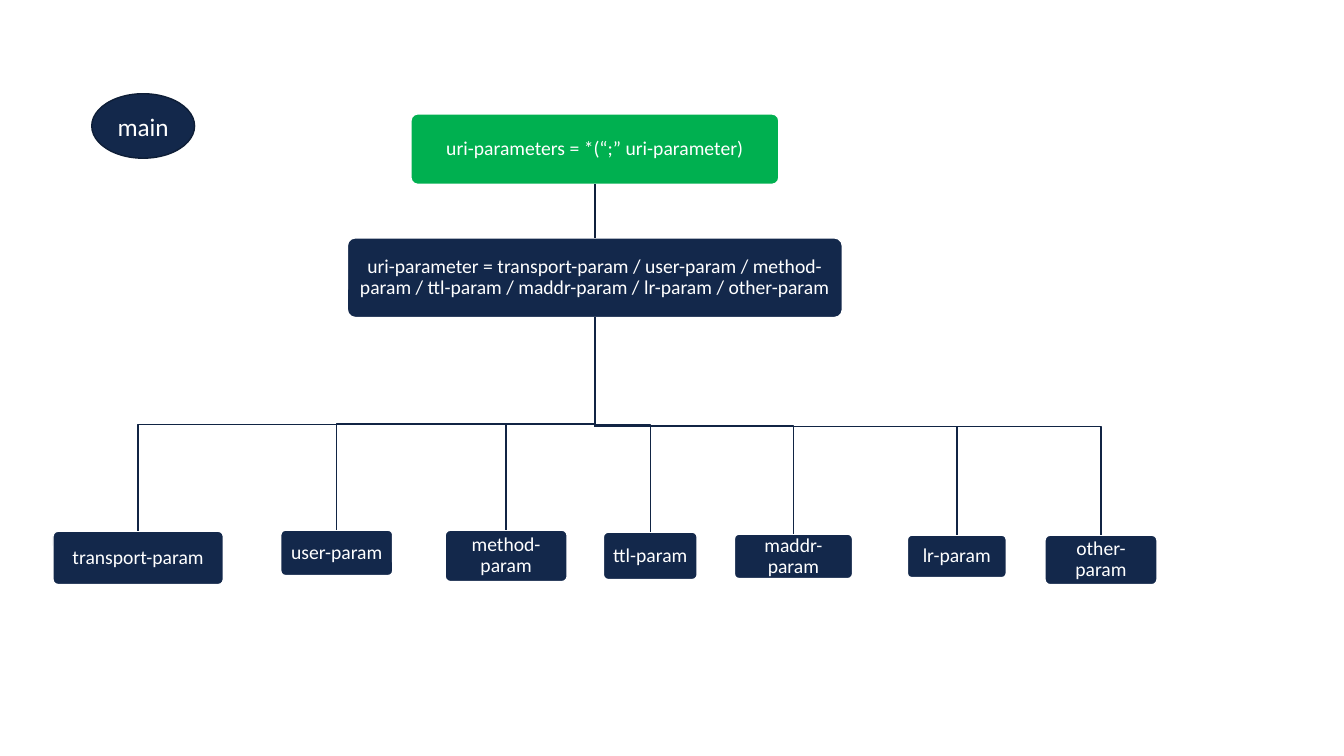
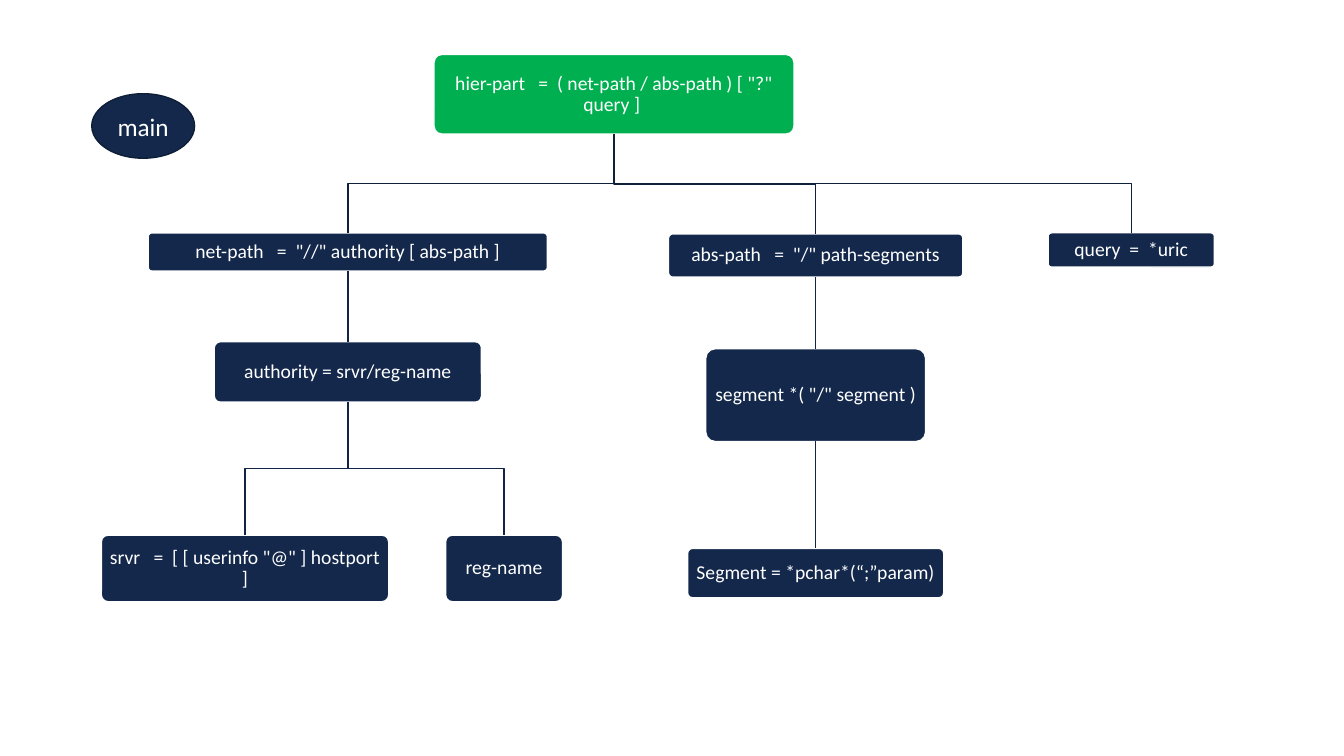
from lxml import etree
from pptx import Presentation, util as u
from pptx.dml import color
from pptx.enum import shapes, text
from pptx.oxml import ns

NAVY, GREEN, WHITE = "13284B", "00B050", "FFFFFF"
EDGE, DARK, LINK = "0E1E37", "0F203C", "112444"
FONT = "Calibri"
BADGE = ("main", 1.42, 0.93, 1.02, 0.64)

# Each box: words, centre, top, width, height, index of the box above it
TREES = [
    [
        ("uri-parameters = *(“;” uri-parameter)", 5.9, 1.13, 3.65, 0.7, None),
        ("uri-parameter = transport-param / user-param / method-param"
         " / ttl-param / maddr-param / lr-param / other-param",
         5.9, 2.36, 4.91, 0.79, 0),
        ("transport-param", 1.37, 5.27, 1.69, 0.53, 1),
        ("user-param", 3.34, 5.26, 1.11, 0.45, 1),
        ("method-param", 5.02, 5.26, 1.21, 0.51, 1),
        ("ttl-param", 6.45, 5.28, 0.93, 0.47, 1),
        ("maddr-param", 7.87, 5.3, 1.17, 0.44, 1),
        ("lr-param", 9.49, 5.31, 0.98, 0.42, 1),
        ("other-param", 10.92, 5.31, 1.11, 0.49, 1),
    ],
    [
        ('hier-part   =  ( net-path / abs-path ) [ "?" query ] ',
         6.09, 0.54, 3.57, 0.79, None),
        ('net-path   =  "//" authority [ abs-path ]',
         3.45, 2.31, 3.96, 0.38, 0),
        ("authority = srvr/reg-name", 3.45, 3.39, 2.65, 0.6, 1),
        ('srvr   =  [ [ userinfo "@" ] hostport ]',
         2.43, 5.31, 2.85, 0.66, 2),
        ("reg-name", 5, 5.31, 1.16, 0.66, 2),
        ('abs-path   =  "/" path-segments', 8.09, 2.32, 2.92, 0.43, 0),
        ('segment *( "/" segment )', 8.09, 3.46, 2.18, 0.92, 5),
        ("Segment = *pchar*(“;”param)", 8.09, 5.44, 2.54, 0.49, 6),
        ("query  =  *uric", 11.22, 2.31, 1.65, 0.34, 0),
    ],
]


def rgb(code):
    """Turn a hex string into a colour."""
    return color.RGBColor.from_string(code)


def stroke(shape, code):
    """Give a shape or connector a one-point line."""
    shape.line.color.rgb = rgb(code)
    shape.line.width = u.Pt(1)


def node(slide, kind, words, mid, top, wide, high, fill, edge, size):
    """Draw a filled shape around a centre line with its words."""
    box = slide.shapes.add_shape(
        kind, *map(u.Inches, (mid - wide / 2, top, wide, high)))
    box.shadow.inherit = False
    box.fill.solid()
    box.fill.fore_color.rgb = rgb(fill)
    stroke(box, edge)
    frame = box.text_frame
    frame.word_wrap = True
    frame.vertical_anchor = text.MSO_ANCHOR.MIDDLE
    para = frame.paragraphs[0]
    para.alignment = text.PP_ALIGN.CENTER
    run = para.add_run()
    run.text = words
    run.font.name, run.font.size = FONT, u.Pt(size)
    run.font.color.rgb = rgb(WHITE)
    return box


def rule(slide, words, mid, top, wide, high, fill):
    """Draw one grammar rule as a rounded box."""
    box = node(slide, shapes.MSO_SHAPE.ROUNDED_RECTANGLE, words, mid, top,
               wide, high, fill, WHITE, 14)
    box.adjustments[0] = 0.1
    frame = box.text_frame
    frame.margin_left = frame.margin_right = u.Inches(0.06)
    frame.margin_top = frame.margin_bottom = u.Inches(0.06)
    frame.paragraphs[0].line_spacing = 0.9
    return box


def join(slide, upper, lower, code):
    """Link two boxes, straight when aligned and stepped halfway when not."""
    x1, y1 = upper.left + upper.width // 2, upper.top + upper.height
    x2, y2 = lower.left + lower.width // 2, lower.top
    if abs(x1 - x2) < u.Inches(0.01):
        link = slide.shapes.add_connector(
            shapes.MSO_CONNECTOR.STRAIGHT, x1, y1, x2, y2)
        link.begin_connect(upper, 2)
        link.end_connect(lower, 0)
        stroke(link, code)
        etree.SubElement(link.element.spPr, ns.qn("a:effectLst"))
        return
    half = (y1 + y2) // 2
    pen = slide.shapes.build_freeform(x1, y1)
    pen.add_line_segments([(x1, half), (x2, half), (x2, y2)], close=False)
    bend = pen.convert_to_shape()
    bend.shadow.inherit = False
    bend.fill.background()
    stroke(bend, code)


def draw(slide, tree):
    """Draw a tree of rules and the badge beside it."""
    boxes = []
    for *place, above in tree:
        root = above is None
        boxes.append(rule(slide, *place, GREEN if root else NAVY))
        if not root:
            join(slide, boxes[above], boxes[-1], LINK if above else DARK)
    node(slide, shapes.MSO_SHAPE.OVAL, *BADGE, NAVY, EDGE, 18)


def main():
    """Build the deck."""
    deck = Presentation()
    deck.slide_width, deck.slide_height = u.Inches(13.33), u.Inches(7.5)
    for tree in TREES:
        draw(deck.slides.add_slide(deck.slide_layouts[6]), tree)
    deck.save("out.pptx")


if __name__ == "__main__":
    main()
